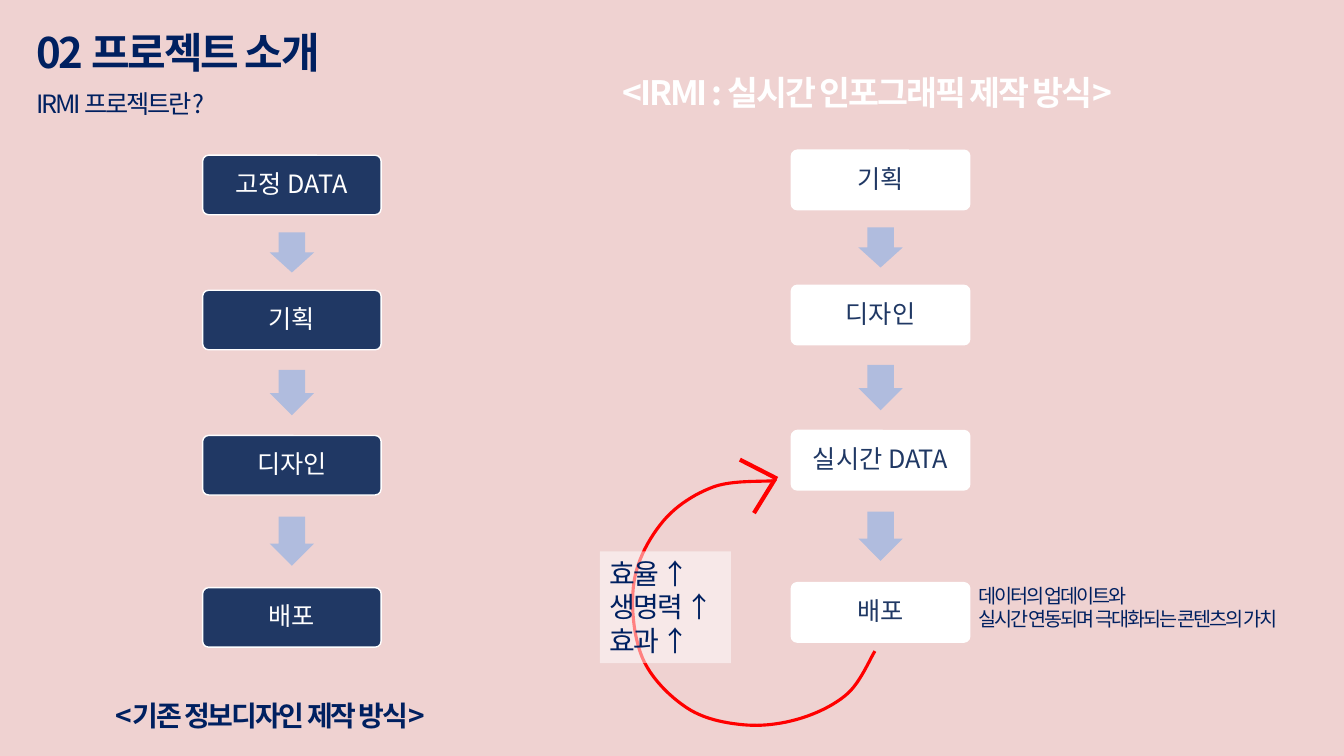
from lxml import etree
from pptx import Presentation
from pptx.dml.color import RGBColor
from pptx.enum.shapes import MSO_CONNECTOR, MSO_SHAPE
from pptx.enum.text import MSO_ANCHOR, MSO_AUTO_SIZE, PP_ALIGN
from pptx.oxml.ns import qn
from pptx.util import Inches, Pt

ROUNDED, DOWN_ARROW = MSO_SHAPE.ROUNDED_RECTANGLE, MSO_SHAPE.DOWN_ARROW
STRAIGHT = MSO_CONNECTOR.STRAIGHT
LEFT, CENTER = PP_ALIGN.LEFT, PP_ALIGN.CENTER
TOP, MIDDLE = MSO_ANCHOR.TOP, MSO_ANCHOR.MIDDLE
FIT_TEXT = MSO_AUTO_SIZE.SHAPE_TO_FIT_TEXT

PINK = RGBColor(0xEF, 0xD2, 0xD1)
NAVY = RGBColor(0x00, 0x20, 0x60)
SLATE = RGBColor(0x20, 0x38, 0x64)
PERIWINKLE = RGBColor(0xB0, 0xBC, 0xDE)
WHITE = RGBColor(0xFF, 0xFF, 0xFF)
RED = RGBColor(0xFF, 0x00, 0x00)

FONT = "Noto Sans CJK KR"
TIGHT = -1.5
TITLE_ONLY = 5

# Lengths are percentages of the slide's width and height.
STEP_WIDTH, STEP_HEIGHT = 13.28, 7.87
STEP_OFFSETS = (0, 17.87, 37.07, 57.2)
ARROW_WIDTH, ARROW_SHARE_OF_GAP = 3.3, 0.53

LOOP_KNOTS = [
    (65.1, 86.13), (63.08, 91.73), (59.48, 95.07), (55.28, 95.87), (51.08, 93.6),
    (47.78, 86.93), (47.18, 76.93), (49.35, 68.93), (53.1, 64.4), (57.45, 63.6),
]


def smooth_curve(knots, samples=12):
    """Return points on a Catmull-Rom curve through the knots."""
    padded = [knots[0], *knots, knots[-1]]
    points = [knots[0]]
    for a, b, c, d in zip(padded, padded[1:], padded[2:], padded[3:]):
        for sample in range(1, samples + 1):
            t = sample / samples
            points.append(tuple(
                q + t / 2 * (r - p + t * (2 * p - 5 * q + 4 * r - s + t * (3 * (q - r) + s - p)))
                for p, q, r, s in zip(a, b, c, d)))
    return points


class ProcessSlide:
    def __init__(self, presentation):
        self.width, self.height = presentation.slide_width, presentation.slide_height
        self.slide = presentation.slides.add_slide(presentation.slide_layouts[TITLE_ONLY])
        self.shapes = self.slide.shapes
        background = self.slide.background.fill
        background.solid()
        background.fore_color.rgb = PINK

    def point(self, x, y):
        return round(self.width * x / 100), round(self.height * y / 100)

    def area(self, x, y, width, height):
        return *self.point(x, y), *self.point(width, height)

    def style(self, paragraph, size, color, bold=False, spacing=0):
        font = paragraph.font
        font.name, font.size, font.bold = FONT, Pt(size), bold
        font.color.rgb = color
        properties = paragraph._p.get_or_add_pPr().get_or_add_defRPr()
        etree.SubElement(properties, qn("a:ea")).set("typeface", FONT)
        if spacing:
            properties.set("spc", str(round(spacing * 100)))

    def fill_text(self, holder, text, size, color, bold=False):
        frame = holder.text_frame
        frame.text = text
        frame.word_wrap = False
        frame.auto_size = FIT_TEXT
        frame.vertical_anchor = TOP
        for paragraph in frame.paragraphs:
            paragraph.alignment = LEFT
            self.style(paragraph, size, color, bold, TIGHT)

    def title(self, text, area, size):
        heading = self.shapes.title
        heading.left, heading.top, heading.width, heading.height = self.area(*area)
        self.fill_text(heading, text, size, NAVY, bold=True)

    def label(self, text, area, size, color=NAVY, bold=False):
        box = self.shapes.add_textbox(*self.area(*area))
        self.fill_text(box, text, size, color, bold)
        return box

    def translucent_label(self, text, area, size):
        fill = self.label(text, area, size).fill
        fill.solid()
        fill.fore_color.rgb = WHITE
        color = fill._xPr.find(qn("a:solidFill"))[0]
        etree.SubElement(color, qn("a:alpha")).set("val", "50000")

    def block(self, kind, area, color, adjustments):
        shape = self.shapes.add_shape(kind, *self.area(*area))
        shape.shadow.inherit = False
        shape.fill.solid()
        shape.fill.fore_color.rgb = color
        shape.line.fill.background()
        for index, value in enumerate(adjustments):
            shape.adjustments[index] = value
        return shape

    def step(self, text, x, y, fill, color):
        box = self.block(ROUNDED, (x, y, STEP_WIDTH, STEP_HEIGHT), fill, [0.1])
        box.line.color.rgb = WHITE
        box.line.width = Pt(1)
        frame = box.text_frame
        frame.text = text
        frame.word_wrap = True
        frame.vertical_anchor = MIDDLE
        frame.margin_left = frame.margin_right = Inches(0.07)
        frame.margin_top = frame.margin_bottom = Inches(0.07)
        paragraph = frame.paragraphs[0]
        paragraph.alignment = CENTER
        paragraph.line_spacing = 0.9
        paragraph.space_after = Pt(6.3)
        self.style(paragraph, 18, color)

    def process(self, steps, x, top, fill, color):
        """Stack the steps, with an arrow centred in each gap."""
        tops = [top + offset for offset in STEP_OFFSETS]
        for text, y in zip(steps, tops):
            self.step(text, x, y, fill, color)
        for y, next_y in zip(tops, tops[1:]):
            gap = next_y - y - STEP_HEIGHT
            height = gap * ARROW_SHARE_OF_GAP
            arrow_x = x + (STEP_WIDTH - ARROW_WIDTH) / 2
            arrow_y = y + STEP_HEIGHT + (gap - height) / 2
            self.block(DOWN_ARROW, (arrow_x, arrow_y, ARROW_WIDTH, height), PERIWINKLE, [0.6, 0.5])

    def curve(self, knots, color, weight):
        start, *rest = [self.point(*point) for point in smooth_curve(knots)]
        builder = self.shapes.build_freeform(*start)
        builder.add_line_segments(rest, close=False)
        outline = builder.convert_to_shape()
        outline.shadow.inherit = False
        outline.fill.background()
        outline.line.color.rgb = color
        outline.line.width = Pt(weight)

    def line(self, start, end, color, weight):
        stroke = self.shapes.add_connector(STRAIGHT, *self.point(*start), *self.point(*end))
        stroke.line.color.rgb = color
        stroke.line.width = Pt(weight)
        etree.SubElement(stroke._element.spPr, qn("a:effectLst"))


def main():
    presentation = Presentation()
    presentation.slide_width, presentation.slide_height = Inches(13.33), Inches(7.5)
    page = ProcessSlide(presentation)

    page.title("02 프로젝트 소개", (1.95, 2.8, 24.75, 8.13), 30)
    page.label("IRMI 프로젝트란?", (1.95, 11.07, 14.7, 5.33), 18)

    page.process(("고정 DATA", "기획", "디자인", "배포"), 15.08, 20.53, SLATE, WHITE)
    page.label("<기존 정보디자인 제작 방식>", (7.88, 91.73, 27.3, 5.87), 20, bold=True)

    page.process(("기획", "디자인", "실시간 DATA", "배포"), 58.88, 19.87, WHITE, SLATE)
    page.curve(LOOP_KNOTS, RED, 2.25)
    page.line((57.83, 63.33), (55.05, 60.8), RED, 3)
    page.line((57.68, 63.33), (56.1, 67.87), RED, 3)
    page.label("<IRMI : 실시간 인포그래픽 제작 방식>", (45.6, 8.8, 42.45, 6.67), 24, WHITE, bold=True)
    page.translucent_label("효율 ↑\n생명력 ↑\n효과 ↑", (44.63, 72.93, 9.75, 14.8), 20)
    page.label("데이터의 업데이트와\n실시간 연동되며 극대화되는 콘텐츠의 가치",
               (72.08, 76.53, 26.63, 7.6), 14)

    presentation.save("out.pptx")


if __name__ == "__main__":
    main()
